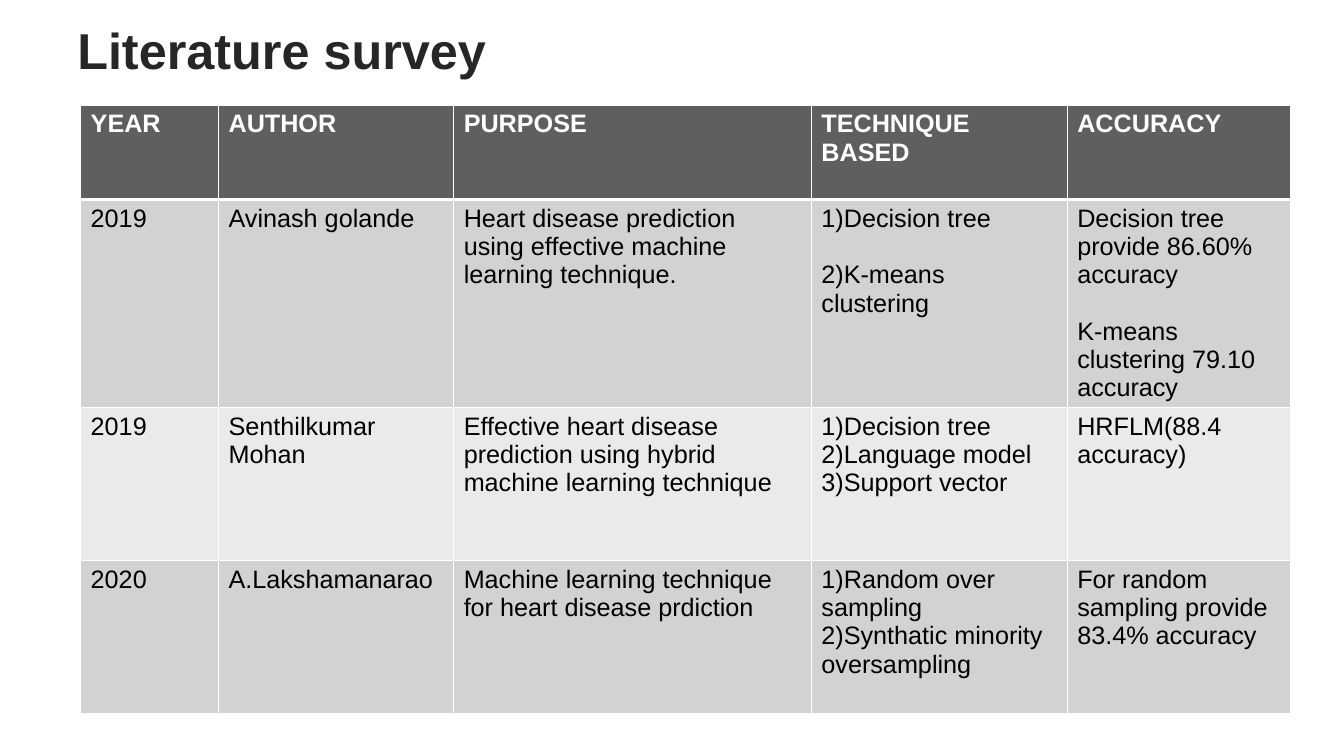
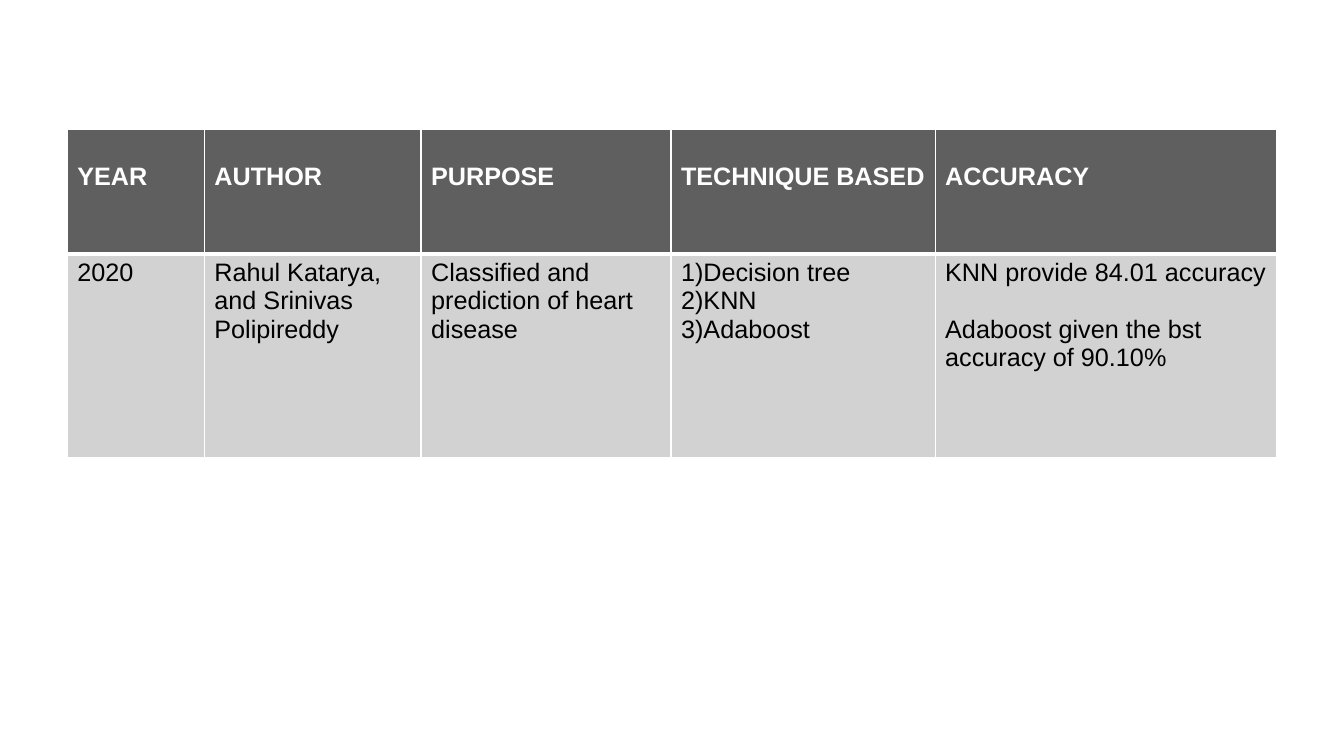
import pptx
import pptx.util
import pptx.dml.color
import pptx.enum.text
import pptx.oxml
import pptx.oxml.ns

Pt = pptx.util.Pt
RGBColor = pptx.dml.color.RGBColor

WHITE = RGBColor(0xFF, 0xFF, 0xFF)
BLACK = RGBColor(0x00, 0x00, 0x00)
TITLE_INK = RGBColor(0x26, 0x26, 0x26)
HEADING_GREY = RGBColor(0x5F, 0x5F, 0x5F)
BANDS = (RGBColor(0xD2, 0xD2, 0xD2), RGBColor(0xEA, 0xEA, 0xEA))

TITLE_FONT = {"name": "Arial", "size": Pt(36), "bold": True}
HEADING_FONT = {"name": "Arial", "size": Pt(18), "bold": True}
BODY_FONT = {"name": "Arial", "size": Pt(18), "bold": False}
LINE_GAP = 20.2
CELL_MARGIN = 3.6
TITLE_ONLY, BLANK = 5, 6

HEADINGS = ["YEAR", "AUTHOR", "PURPOSE", "TECHNIQUE BASED", "ACCURACY"]
FIRST_STUDIES = [
    ["2019", "Avinash golande",
     "Heart disease prediction using effective machine learning technique.",
     "1)Decision tree\n\n2)K-means clustering",
     "Decision tree provide 86.60% accuracy\n\nK-means clustering 79.10 accuracy"],
    ["2019", "Senthilkumar Mohan",
     "Effective heart disease prediction using hybrid machine learning technique",
     "1)Decision tree\n2)Language model\n3)Support vector",
     "HRFLM(88.4 accuracy)"],
    ["2020", "A.Lakshamanarao",
     "Machine learning technique for heart disease prdiction",
     "1)Random over sampling\n2)Synthatic minority oversampling",
     "For random sampling provide 83.4% accuracy"],
]
LATER_STUDIES = [
    ["2020", "Rahul Katarya, and Srinivas Polipireddy",
     "Classified and prediction of heart disease",
     "1)Decision tree\n2)KNN\n3)Adaboost",
     "KNN provide 84.01 accuracy\n\nAdaboost given the bst accuracy of 90.10%"],
]


def apply(target, values):
    for name, value in values.items():
        setattr(target, name, value)


class Deck:
    def __init__(self):
        self.presentation = pptx.Presentation()
        apply(self.presentation, {"slide_width": Pt(960), "slide_height": Pt(540)})
        self.slide = None

    def add_slide(self, layout):
        layouts = self.presentation.slide_layouts
        self.slide = self.presentation.slides.add_slide(layouts[layout])

    def add_text(self, paragraph, text, style, color):
        paragraph.alignment = pptx.enum.text.PP_ALIGN.LEFT
        run = paragraph.add_run()
        run.text = text
        apply(run.font, style)
        run.font.color.rgb = color

    def title(self, text):
        heading = self.slide.shapes.title
        apply(heading, {"left": Pt(48), "top": Pt(10), "width": Pt(864), "height": Pt(50)})
        heading.text_frame.vertical_anchor = pptx.enum.text.MSO_ANCHOR.MIDDLE
        self.add_text(heading.text_frame.paragraphs[0], text, TITLE_FONT, TITLE_INK)

    def borders(self, cell, bottom):
        properties = cell._tc.get_or_add_tcPr()
        widths = {"lnL": 1, "lnR": 1, "lnT": 1, "lnB": bottom}
        for position, (side, width) in enumerate(widths.items()):
            properties.insert(position, pptx.oxml.parse_xml(
                f'<a:{side} {pptx.oxml.ns.nsdecls("a")} w="{Pt(width)}">'
                f'<a:solidFill><a:srgbClr val="{WHITE}"/></a:solidFill></a:{side}>'))

    def cell(self, cell, text, style, ink, fill, bottom):
        cell.fill.solid()
        cell.fill.fore_color.rgb = fill
        self.borders(cell, bottom)
        frame = cell.text_frame
        paragraph = frame.paragraphs[0]
        for block_index, block in enumerate(text.split("\n\n")):
            for line_index, line in enumerate(block.split("\n")):
                if block_index or line_index:
                    paragraph = frame.add_paragraph()
                if block_index and not line_index:
                    paragraph.space_before = Pt(LINE_GAP)
                self.add_text(paragraph, line, style, ink)

    def survey(self, studies, left, top, widths, heights, heading_drop=0):
        rows = [HEADINGS] + studies
        table = self.slide.shapes.add_table(
            len(rows), len(HEADINGS), Pt(left), Pt(top),
            Pt(sum(widths)), Pt(sum(heights))).table
        for column, width in zip(table.columns, widths):
            column.width = Pt(width)
        for index, (row, height, texts) in enumerate(zip(table.rows, heights, rows)):
            row.height = Pt(height)
            if index:
                look = (BODY_FONT, BLACK, BANDS[(index - 1) % 2], 1)
            else:
                look = (HEADING_FONT, WHITE, HEADING_GREY, 3)
            for cell, text in zip(row.cells, texts):
                self.cell(cell, text, *look)
                if not index:
                    cell.margin_top = Pt(CELL_MARGIN + heading_drop)


def main():
    deck = Deck()
    deck.add_slide(TITLE_ONLY)
    deck.title("Literature survey")
    deck.survey(FIRST_STUDIES, 57.6, 75, [98.5, 168, 255.5, 182.8, 159.2],
                [67.5, 148, 109.5, 109.5])
    deck.add_slide(BLANK)
    deck.survey(LATER_STUDIES, 48, 92.3, [98, 154.8, 178.5, 188.7, 244.2],
                [89, 145.5], heading_drop=LINE_GAP)
    deck.presentation.save("out.pptx")


if __name__ == "__main__":
    main()
